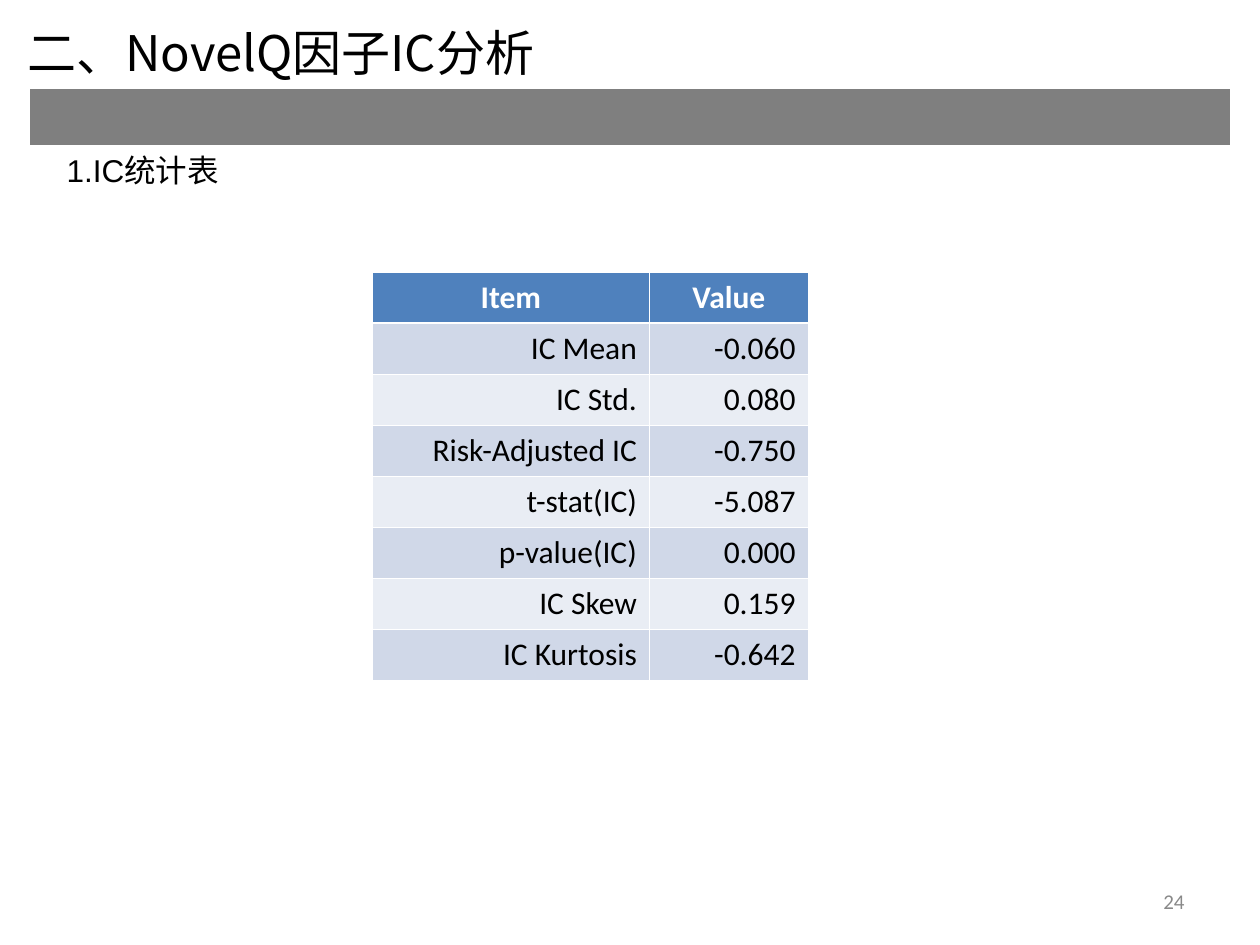
from pptx import Presentation
from pptx import util as u
from pptx.dml.color import RGBColor
from pptx.enum import text as t
from pptx.oxml import parse_xml
from pptx.oxml.ns import nsdecls

# Content
TITLE = "二、NovelQ因子IC分析"
SUBTITLE = "1.IC统计表"
PAGE_NUMBER = "24"
IC_STATISTICS = [
    ("Item", "Value"),
    ("IC Mean", "-0.060"),
    ("IC Std.", "0.080"),
    ("Risk-Adjusted IC", "-0.750"),
    ("t-stat(IC)", "-5.087"),
    ("p-value(IC)", "0.000"),
    ("IC Skew", "0.159"),
    ("IC Kurtosis", "-0.642"),
]

THEME = {
    "cjk": "Noto Sans CJK SC", "latin": "Arial", "table": "Calibri",
    "title_size": 28, "body_size": 18, "page_size": 12,
    "ink": "000000", "white": "FFFFFF", "page": "898989",
    "bar": "7F7F7F", "header": "4F81BD", "bands": ("D0D8E8", "E9EDF4"),
    "thin": 0.45, "thick": 1.47,
}
ALIGN = t.PP_ALIGN


def write(frame, words, font, size, color, align, bold=False):
    paragraph = frame.paragraphs[0]
    paragraph.alignment = align
    run = paragraph.add_run()
    run.text = words
    for key, value in {"name": font, "size": u.Pt(size), "bold": bold}.items():
        setattr(run.font, key, value)
    run.font.color.rgb = RGBColor.from_string(color)
    run.font._element.append(
        parse_xml(f'<a:ea {nsdecls("a")} typeface="{THEME["cjk"]}"/>'))


def add_label(slide, box, anchor, *style):
    frame = slide.shapes.add_textbox(*map(u.Pt, box)).text_frame
    frame.word_wrap = True
    frame.vertical_anchor = anchor
    write(frame, *style)


def add_grid(slide, left, top, widths, row_height, row_count):
    table = slide.shapes.add_table(
        row_count, len(widths), u.Pt(left), u.Pt(top),
        u.Pt(sum(widths)), u.Pt(row_height * row_count)).table
    for column, width in zip(table.columns, widths):
        column.width = u.Pt(width)
    return table


def paint(cell, fill, top, bottom):
    """Fill a cell and give it white borders; side borders are thin."""
    thin = THEME["thin"]
    cell.fill.solid()
    cell.fill.fore_color.rgb = RGBColor.from_string(fill)
    properties = cell._tc.get_or_add_tcPr()
    sides = (("L", thin), ("R", thin), ("T", top), ("B", bottom))
    for index, (side, width) in enumerate(sides):
        properties.insert(index, parse_xml(
            f'<a:ln{side} {nsdecls("a")} w="{int(u.Pt(width))}"><a:solidFill>'
            f'<a:srgbClr val="{THEME["white"]}"/></a:solidFill></a:ln{side}>'))


deck = Presentation()
deck.slide_width, deck.slide_height = u.Pt(720), u.Pt(540)
slide = deck.slides.add_slide(deck.slide_layouts[6])

# Grey bar under the title
bar = add_grid(slide, 16.8, 50.6, [686.2], 33.2, 1)
paint(bar.cell(0, 0), THEME["bar"], THEME["thin"], THEME["thick"])

# Page number, title and subtitle
add_label(slide, (516, 500.5, 168, 28.8), t.MSO_ANCHOR.MIDDLE, PAGE_NUMBER,
          THEME["table"], THEME["page_size"], THEME["page"], ALIGN.RIGHT)
add_label(slide, (8.6, 9.4, 396.7, 41), t.MSO_ANCHOR.TOP, TITLE,
          THEME["cjk"], THEME["title_size"], THEME["ink"], ALIGN.JUSTIFY)
add_label(slide, (31, 82.8, 113, 28.8), t.MSO_ANCHOR.TOP, SUBTITLE,
          THEME["latin"], THEME["body_size"], THEME["ink"], ALIGN.LEFT)

# IC statistics table
statistics = add_grid(slide, 212.6, 155.6, [158.6, 90.6], 29.16,
                      len(IC_STATISTICS))
for row, entries in enumerate(IC_STATISTICS):
    header = row == 0
    fill = THEME["header"] if header else THEME["bands"][(row - 1) % 2]
    color = THEME["white"] if header else THEME["ink"]
    align = ALIGN.CENTER if header else ALIGN.RIGHT
    top = THEME["thick" if row == 1 else "thin"]
    bottom = THEME["thick" if header else "thin"]
    for column, entry in enumerate(entries):
        cell = statistics.cell(row, column)
        paint(cell, fill, top, bottom)
        write(cell.text_frame, entry, THEME["table"], THEME["body_size"],
              color, align, header)

deck.save("out.pptx")
